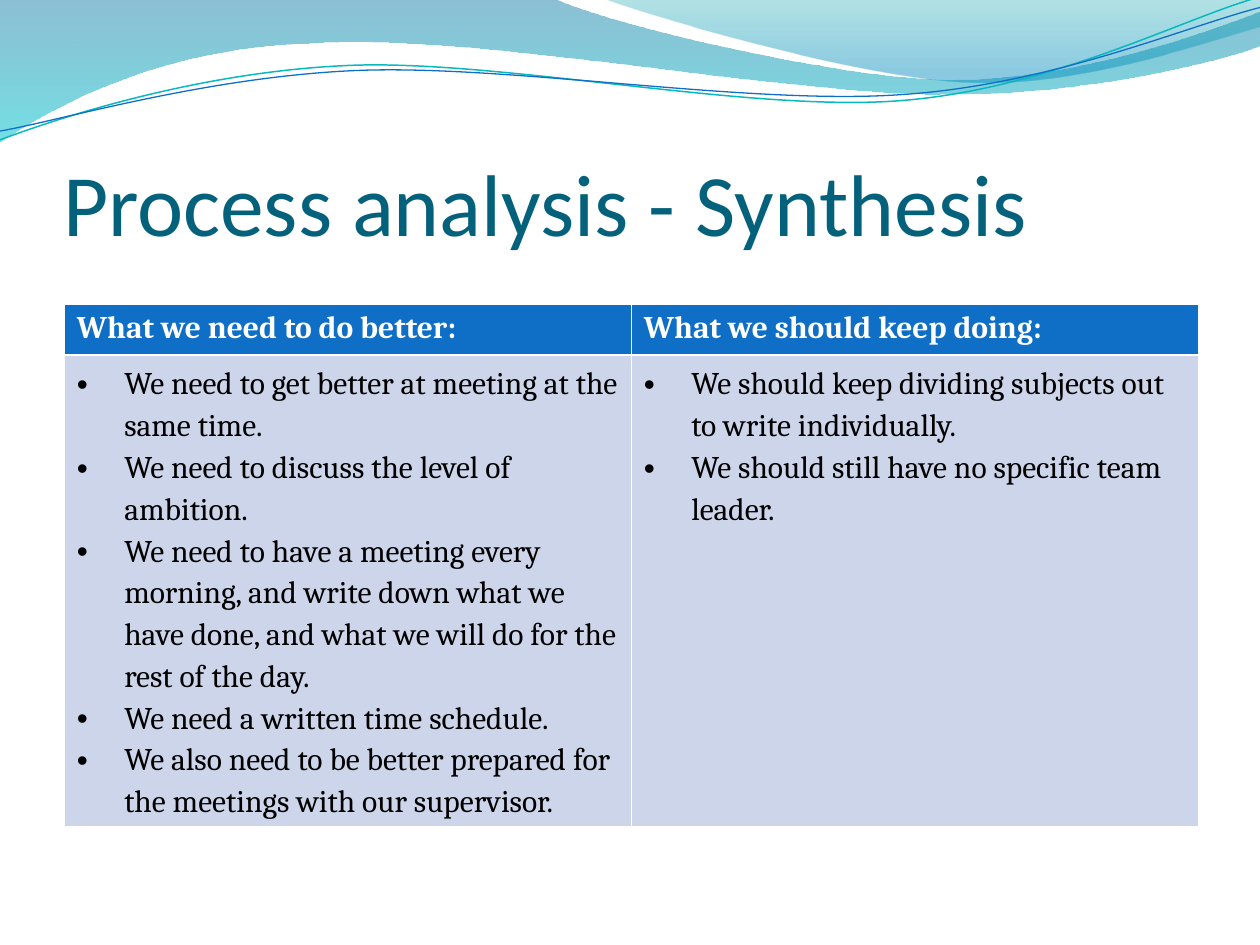
import math

import pptx
import pptx.dml.color
import pptx.enum.text
import pptx.oxml
import pptx.oxml.ns
import pptx.util

Pt = pptx.util.Pt
RGB = pptx.dml.color.RGBColor.from_string
qn = pptx.oxml.ns.qn
NS = pptx.oxml.ns.nsdecls("a")

THEME = {
    "title": {"name": "Calibri", "size": Pt(50), "bold": False, "color": "04617B"},
    "header": {"name": "Cambria", "size": Pt(18), "bold": True, "color": "FFFFFF"},
    "body": {"name": "Cambria", "size": Pt(18), "bold": False, "color": "000000"},
    "header_fill": "0F6FC6",
    "body_fill": "CCD5EA",
}

# Each step is one point (straight) or three (two control points and an end).
# Gradient stops are position, colour and opacity in percent.
WAVES = [
    {"start": (0, -0.7),
     "steps": [[(316.8, -0.7)],
               [(342.7, 12.2), (478, 45.4), (545.8, 45.4)],
               [(613.4, 45.4), (689.8, 18.7), (720, 6.5)],
               [(720.7, 25.9)],
               [(707.8, 31.7), (626.4, 54.7), (537, 54)],
               [(447.8, 54), (275, 20.2), (185, 24.5)],
               [(92.9, 25.9), (33, 59.8), (-0.7, 81.4)]],
     "stops": [(0, "0074A1", 45), (1, "00C6CF", 55)]},
    {"start": (344.9, -0.7),
     "steps": [[(366.5, 7.9), (491, 44.6), (553.7, 46.8)],
               [(616.3, 49.7), (691.9, 23), (720, 15.1)],
               [(720, 0)]],
     "stops": [(0, "00A1A9", 30), (0.8, "008BBF", 45)]},
    {"start": (0, 79.9),
     "steps": [[(34.6, 67), (113.8, 41), (199.4, 37.4)],
               [(284.4, 33.8), (427, 64.1), (513.4, 57.6)],
               [(599.8, 51.1), (675.4, 10.8), (718.6, -1.4)]],
     "line": ("0AB8BF", 0.85), "center": (359.3, 41.4), "tilt": -2.7},
    {"start": (0, 74.9),
     "steps": [[(33.8, 69.1), (118, 43.9), (203.8, 40.3)],
               [(290.2, 36.7), (429.8, 60.5), (516.2, 54)],
               [(601.9, 48.2), (677.5, 15.1), (720, 4.3)]],
     "line": ("0F6FC6", 0.75), "center": (359.6, 42.5), "tilt": -2.7},
]

COLUMNS = [
    ("What we need to do better:", [
        "We need to get better at meeting at the same time.",
        "We need to discuss the level of ambition.",
        "We need to have a meeting every morning, and write down what we have done, "
        "and what we will do for the rest of the day.",
        "We need a written time schedule.",
        "We also need to be better prepared for the meetings with our supervisor.",
    ]),
    ("What we should keep doing:", [
        "We should keep dividing subjects out to write individually.",
        "We should still have no specific team leader.",
    ]),
]


def level(point, wave):
    """Turn a point back by the wave's tilt, which the shape's rotation restores."""
    cx, cy = wave.get("center", (0, 0))
    a = math.radians(-wave.get("tilt", 0))
    dx, dy = point[0] - cx, point[1] - cy
    return (Pt(cx + dx * math.cos(a) - dy * math.sin(a)),
            Pt(cy + dx * math.sin(a) + dy * math.cos(a)))


def add_text(p, text, style):
    r = p.add_run()
    r.text = text
    for key, value in style.items():
        if key == "color":
            r.font.color.rgb = RGB(value)
        else:
            setattr(r.font, key, value)


prs = pptx.Presentation()
prs.slide_width, prs.slide_height = Pt(720), Pt(540)
s = prs.slides.add_slide(prs.slide_layouts[5])

# Waves across the top
for wave in WAVES:
    filled = "stops" in wave
    fb = s.shapes.build_freeform(*level(wave["start"], wave), scale=1.0)
    fb.add_line_segments([level(pt, wave) for step in wave["steps"] for pt in step],
                         close=filled)
    sp = fb.convert_to_shape()
    sp.shadow.inherit = False
    sp.rotation = wave.get("tilt", 0)

    # Join each group of three points into one cubic curve
    segments = iter(list(sp._element.iter(qn("a:lnTo"))))
    for step in wave["steps"]:
        group = [next(segments) for _ in step]
        if len(group) == 3:
            curve = pptx.oxml.parse_xml(f"<a:cubicBezTo {NS}/>")
            group[0].addprevious(curve)
            for segment in group:
                curve.append(segment[0])
                segment.getparent().remove(segment)

    if filled:
        sp.line.fill.background()
        sp.fill.gradient()
        sp.fill.gradient_angle = 270
        for stop, (position, color, _) in zip(sp.fill.gradient_stops, wave["stops"]):
            stop.position = position
            stop.color.rgb = RGB(color)
        colors = sp._element.spPr.iter(qn("a:srgbClr"))
        for clr, (_, _, opacity) in zip(colors, wave["stops"]):
            clr.append(pptx.oxml.parse_xml(f'<a:alpha {NS} val="{opacity * 1000}"/>'))
    else:
        color, width = wave["line"]
        sp.fill.background()
        sp.line.color.rgb = RGB(color)
        sp.line.width = Pt(width)

# Title, in front of the waves
title = s.shapes.title
s.shapes._spTree.append(title._element)
for key, value in {"left": Pt(36), "top": Pt(55.2), "width": Pt(648), "height": Pt(90)}.items():
    setattr(title, key, value)
tf = title.text_frame
for key, value in {"margin_left": 0, "margin_right": 0, "margin_top": Pt(3.6),
                   "margin_bottom": 0, "word_wrap": True,
                   "auto_size": pptx.enum.text.MSO_AUTO_SIZE.NONE,
                   "vertical_anchor": pptx.enum.text.MSO_ANCHOR.BOTTOM}.items():
    setattr(tf, key, value)
p = tf.paragraphs[0]
p.alignment = pptx.enum.text.PP_ALIGN.LEFT
add_text(p, "Process analysis - Synthesis", THEME["title"])

# Table; the rows grow with their text
frame = s.shapes.add_table(2, 2, Pt(36.8), Pt(173.6), Pt(648), Pt(58.4))
table = frame.table
for row in table.rows:
    row.height = Pt(29.2)
frame.height = Pt(334.8)
for col, (heading, points) in enumerate(COLUMNS):
    head, body = table.cell(0, col), table.cell(1, col)
    add_text(head.text_frame.paragraphs[0], heading, THEME["header"])

    tf = body.text_frame
    for i, point in enumerate(points):
        p = tf.add_paragraph() if i else tf.paragraphs[0]
        p.line_spacing = 1.15
        if point == points[-1]:
            p.space_after = Pt(10)
        pPr = p._p.get_or_add_pPr()
        pPr.set("marL", str(Pt(27)))
        pPr.set("indent", str(-Pt(27)))
        pPr.append(pptx.oxml.parse_xml(f'<a:buFont {NS} typeface="Arial"/>'))
        pPr.append(pptx.oxml.parse_xml(f'<a:buChar {NS} char="•"/>'))
        add_text(p, point, THEME["body"])

    for cell, fill in ((head, "header_fill"), (body, "body_fill")):
        cell.fill.solid()
        cell.fill.fore_color.rgb = RGB(THEME[fill])

prs.save("out.pptx")
